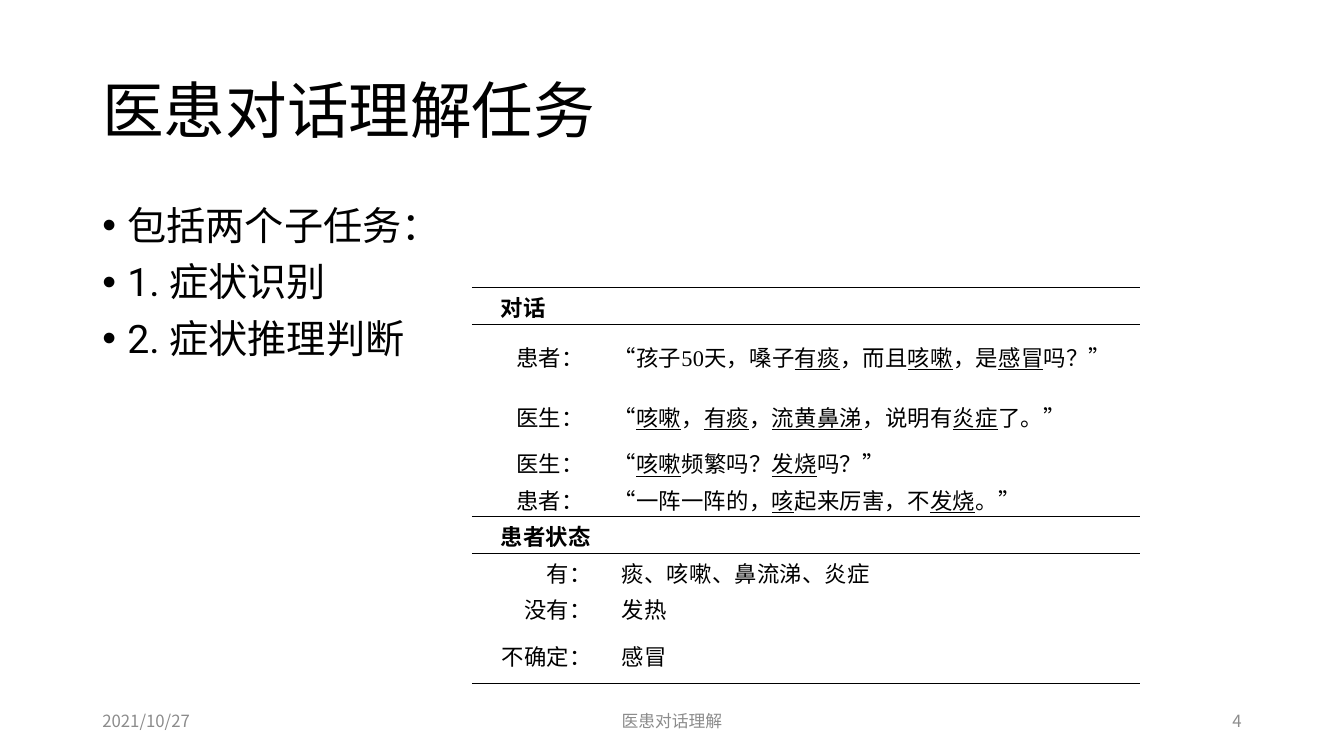
from pptx import Presentation
from pptx.dml.color import RGBColor as Rgb
from pptx.enum.lang import MSO_LANGUAGE_ID as Lang
from pptx.enum.text import MSO_ANCHOR as Anchor, PP_ALIGN as Align
from pptx.oxml.ns import qn
from pptx.util import Pt
from lxml.etree import SubElement as Sub

COLORS = {"ink": "000000", "muted": "8C8C8C"}
SANS, BODY, SERIF = "Noto Sans CJK SC", "Roboto", "Times New Roman"
SUBTASKS = ["包括两个子任务：", "1. 症状识别", "2. 症状推理判断"]
DIALOGUE = [
    ("患者：", "孩子50天，嗓子_有痰_，而且_咳嗽_，是_感冒_吗？”"),
    ("医生：", "_咳嗽_，_有痰_，_流黄鼻涕_，说明有_炎症_了。”"),
    ("医生：", "_咳嗽_频繁吗？_发烧_吗？”"),
    ("患者：", "一阵一阵的，_咳_起来厉害，不_发烧_。”"),
]
STATUS = [("有：", "痰、咳嗽、鼻流涕、炎症"), ("没有：", "发热"), ("不确定：", "感冒")]
COLUMN_WIDTHS = [80.6, 5.8, 390.6]
ROW_HEIGHTS = [26, 44.6, 41] + [26] * 5 + [41]
RULED_EDGES = {0, 1, 5, 6, 9}


def apply(target, **formats):
    """Set each given format value on the target."""
    for name, value in formats.items():
        setattr(target, name, value)


def add_run(paragraph, text, size, face, color="ink", **formats):
    """Append a run with Latin and East Asian faces."""
    run = paragraph.add_run()
    run.text = text
    apply(run.font, size=Pt(size), name=face, language_id=Lang.SIMPLIFIED_CHINESE, **formats)
    run.font.color.rgb = Rgb.from_string(COLORS[color])
    Sub(run.font._element, qn("a:ea"), typeface=SANS)
    return run


def add_frame(slide, box, anchor):
    """Add a wrapping text box and return its frame."""
    frame = slide.shapes.add_textbox(*map(Pt, box)).text_frame
    apply(frame, word_wrap=True, vertical_anchor=anchor)
    return frame


def add_title(slide, box):
    """Place the slide heading."""
    heading = add_frame(slide, box, Anchor.MIDDLE).paragraphs[0]
    heading.line_spacing = 0.9
    add_run(heading, "医患对话理解任务", 44, SANS)


def add_subtasks(slide, box):
    """Place the bulleted list of subtasks."""
    frame = add_frame(slide, box, Anchor.TOP)
    for index, subtask in enumerate(SUBTASKS):
        item = frame.add_paragraph() if index else frame.paragraphs[0]
        apply(item, line_spacing=0.9, space_before=Pt(10))
        layout = item._p.get_or_add_pPr()
        layout.set("marL", str(Pt(18)))
        layout.set("indent", str(-Pt(18)))
        Sub(layout, qn("a:buFont"), typeface="Arial")
        Sub(layout, qn("a:buChar"), char="•")
        add_run(item, subtask, 28, BODY)


def add_footer(slide, box):
    """Place date, topic and page number along the box."""
    left, top, width, height = box
    parts = [
        ("2021/10/27", 0, 216, Align.LEFT),
        ("医患对话理解", (width - 324) / 2, 324, Align.CENTER),
        ("4", width - 216, 216, Align.RIGHT),
    ]
    for text, offset, span, alignment in parts:
        frame = add_frame(slide, (left + offset, top, span, height), Anchor.MIDDLE)
        frame.paragraphs[0].alignment = alignment
        add_run(frame.paragraphs[0], text, 12, SANS, "muted")


def style_cell(cell, row):
    """Set insets, rules above and below, and an empty fill."""
    margins = {f"margin_{side}": Pt(0.7) for side in ("left", "right", "top", "bottom")}
    apply(cell, vertical_anchor=Anchor.MIDDLE, **margins)
    properties = cell._tc.get_or_add_tcPr()
    for side, edge in (("L", None), ("R", None), ("T", row), ("B", row + 1)):
        border = Sub(properties, qn(f"a:ln{side}"), w=str(Pt(1)))
        if edge in RULED_EDGES:
            Sub(Sub(border, qn("a:solidFill")), qn("a:srgbClr"), val=COLORS["ink"])
        else:
            Sub(border, qn("a:noFill"))
    cell.fill.background()


def write_cell(cell, text, alignment=Align.JUSTIFY, quoted=False, bold=False):
    """Write an indented line, underlining what stands between underscores."""
    line = cell.text_frame.paragraphs[0]
    apply(line, alignment=alignment, line_spacing=1.06)
    line._p.get_or_add_pPr().set("indent", str(Pt(20)))
    pieces = [("“", SANS, False)] if quoted else []
    pieces += [(piece, SERIF, index % 2 == 1) for index, piece in enumerate(text.split("_")) if piece]
    for piece, face, symptom in pieces:
        run = add_run(line, piece, 16, face, bold=bold, underline=symptom)
        run.font._element.set("spc", "20")


def add_consultation(slide, box):
    """Place the table of dialogue and patient status."""
    frame = slide.shapes.add_table(len(ROW_HEIGHTS), len(COLUMN_WIDTHS), *map(Pt, box))
    table = frame.table
    apply(table, first_row=False, horz_banding=False)
    for column, width in zip(table.columns, COLUMN_WIDTHS):
        column.width = Pt(width)
    for index, (row, height) in enumerate(zip(table.rows, ROW_HEIGHTS)):
        row.height = Pt(height)
        for cell in row.cells:
            style_cell(cell, index)
    start = 0
    for heading, entries, answer_column in (("对话", DIALOGUE, 1), ("患者状态", STATUS, 2)):
        table.cell(start, 0).merge(table.cell(start, 2))
        write_cell(table.cell(start, 0), heading, bold=True)
        for row, (label, answer) in enumerate(entries, start + 1):
            first = 2 - answer_column
            table.cell(row, first).merge(table.cell(row, first + 1))
            write_cell(table.cell(row, 0), label, Align.RIGHT)
            write_cell(table.cell(row, answer_column), answer, quoted=entries is DIALOGUE)
        start += len(entries) + 1


def build():
    """Build the slide and save it."""
    deck = Presentation()
    apply(deck, slide_width=Pt(960), slide_height=Pt(540))
    slide = deck.slides.add_slide(deck.slide_layouts[6])
    add_title(slide, (66, 28.8, 828, 104.4))
    add_subtasks(slide, (66, 144, 828, 342.7))
    add_footer(slide, (66, 500.5, 828, 28.8))
    add_consultation(slide, (337, 205.6, sum(COLUMN_WIDTHS), sum(ROW_HEIGHTS)))
    deck.save("out.pptx")


build()
